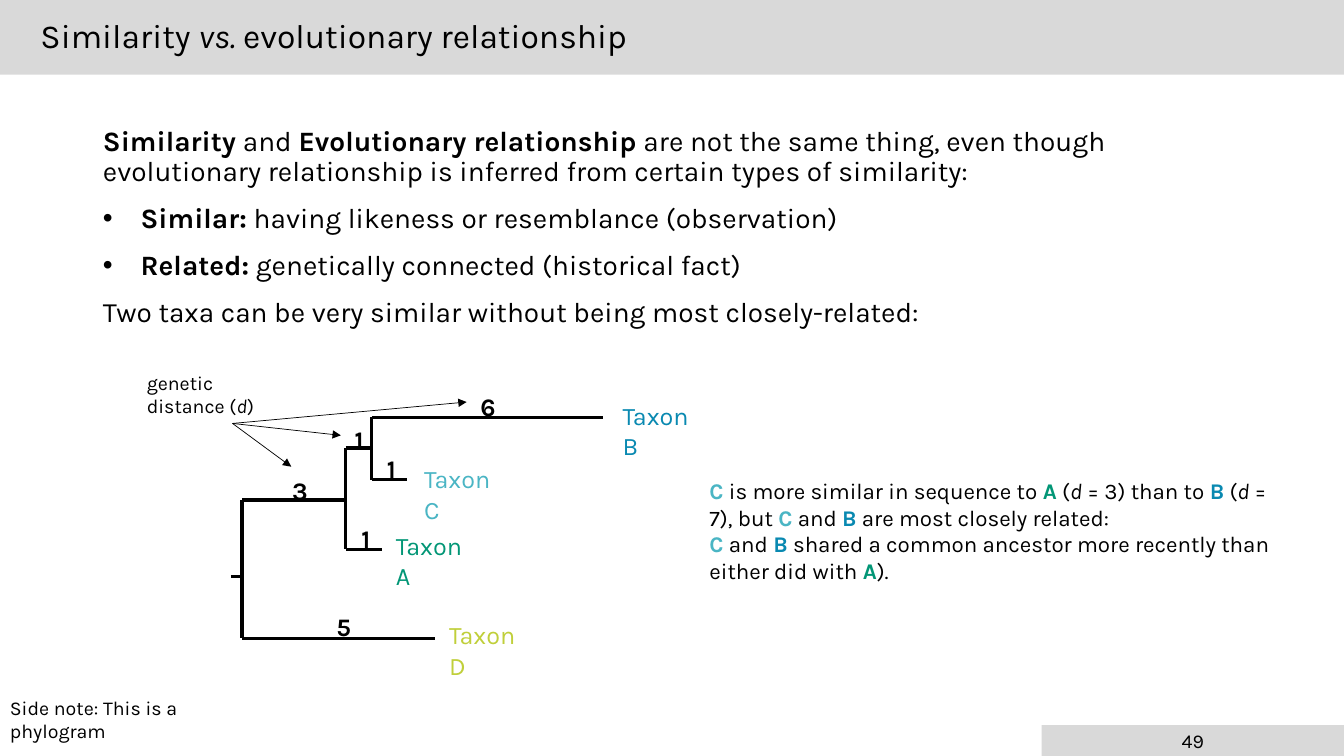
from lxml import etree
from pptx import Presentation
from pptx.dml.color import RGBColor
from pptx.enum.shapes import MSO_CONNECTOR, MSO_SHAPE
from pptx.enum.text import MSO_ANCHOR, MSO_AUTO_SIZE, PP_ALIGN
from pptx.oxml.ns import qn
from pptx.util import Cm, Pt

LINE = MSO_CONNECTOR.STRAIGHT
RECT = MSO_SHAPE.RECTANGLE
MIDDLE, TOP = MSO_ANCHOR.MIDDLE, MSO_ANCHOR.TOP
FIXED = MSO_AUTO_SIZE.NONE
LEFT, CENTER, JUSTIFY = PP_ALIGN.LEFT, PP_ALIGN.CENTER, PP_ALIGN.JUSTIFY

BLACK = RGBColor(0x00, 0x00, 0x00)
GREY = RGBColor(0xD9, 0xD9, 0xD9)
GREEN = RGBColor(0x02, 0x96, 0x76)
BLUE = RGBColor(0x09, 0x89, 0xB1)
TEAL = RGBColor(0x4A, 0xB5, 0xC4)
LIME = RGBColor(0xC0, 0xCF, 0x3A)

BOLD = {"bold": True}
ITALIC = {"italic": True}
A = ("A", {"bold": True, "color": GREEN})
B = ("B", {"bold": True, "color": BLUE})
C = ("C", {"bold": True, "color": TEAL})
D = ("d", ITALIC)

TITLE = [("Similarity ", {}), ("vs.", ITALIC), (" evolutionary relationship", {})]
POINTS = [
    (False, [("Similarity", BOLD), (" and ", {}), ("Evolutionary relationship", BOLD),
             (" are not the same thing, even though evolutionary relationship "
              "is inferred from certain types of similarity:", {})]),
    (True, [("Similar:", BOLD), (" having likeness or resemblance (observation)", {})]),
    (True, [("Related:", BOLD), (" genetically connected (historical fact)", {})]),
    (False, [("Two taxa can be very similar without being most closely-related:", {})]),
]
REMARK = [
    [C, (" is more similar in sequence to ", {}), A, (" (", {}), D, (" = 3) than to ", {}),
     B, (" (", {}), D, (" = 7), but ", {}), C, (" and ", {}), B,
     (" are most closely related:", {})],
    [C, (" and ", {}), B,
     (" shared a common ancestor more recently than either did with ", {}), A, (").", {})],
]

ROOT, STEM, FORK, TWIG = 5.82, 6.1, 8.71, 9.37
ROWS = {"B": 10.52, "inner": 11.29, "C": 12.09, "ABC": 12.6,
        "A": 13.84, "root": 14.53, "D": 16.08}
ACROSS = [
    (TWIG, 15.19, "B"), (TWIG, 10.26, "C"), (FORK, TWIG, "inner"), (FORK, 9.63, "A"),
    (STEM, FORK, "ABC"), (STEM, 10.97, "D"), (ROOT, STEM, "root"),
]
DOWN = [(TWIG, "B", "C"), (FORK, "inner", "A"), (STEM, "ABC", "D")]
TAXA = [("A", 9.73, 13.23, GREEN), ("B", 15.44, 9.96, BLUE),
        ("C", 10.44, 11.56, TEAL), ("D", 11.07, 15.49, LIME)]
STEPS = [("1", 9.5, 11.3), ("1", 8.69, 10.57), ("1", 8.86, 13.06),
         ("6", 11.86, 9.73), ("3", 7.11, 11.86), ("5", 8.23, 15.29)]
TIPS = [(7.34, 11.76), (8.59, 10.97), (11.76, 10.13)]


class Page:
    face = "Karla"

    def __init__(self, deck):
        self.slide = deck.slides.add_slide(deck.slide_layouts[1])

    def place(self, shape, box):
        for name, value in zip(("left", "top", "width", "height"), box):
            setattr(shape, name, Cm(value))

    def paint(self, shape, color):
        shape.fill.solid()
        shape.fill.fore_color.rgb = color

    def frame(self, frame, anchor=TOP):
        style = {"word_wrap": True, "auto_size": FIXED, "vertical_anchor": anchor}
        for name, value in style.items():
            setattr(frame, name, value)

    def words(self, para, runs, size, color=BLACK, **layout):
        for name, value in layout.items():
            setattr(para, name, value)
        for text, extra in runs:
            run = para.add_run()
            run.text = text
            style = {"name": self.face, "size": Pt(size), "bold": False,
                     "italic": False, **extra}
            run.font.color.rgb = style.pop("color", color)
            for name, value in style.items():
                setattr(run.font, name, value)

    def title(self, runs, box):
        shape = self.slide.shapes.title
        self.place(shape, box)
        self.paint(shape, GREY)
        self.frame(shape.text_frame, MIDDLE)
        shape.text_frame.margin_left = Cm(1.02)
        self.words(shape.text_frame.paragraphs[0], runs, 24,
                   alignment=LEFT, line_spacing=0.9)

    def body(self, items, box):
        shape = self.slide.placeholders[1]
        self.place(shape, box)
        frame = shape.text_frame
        self.frame(frame)
        for i, (dot, runs) in enumerate(items):
            para = frame.add_paragraph() if i else frame.paragraphs[0]
            props = para._p.get_or_add_pPr()
            hang = Cm(0.95) if dot else 0
            props.set("marL", str(hang))
            props.set("indent", str(-hang))
            mark = etree.SubElement(props, qn("a:buChar" if dot else "a:buNone"))
            if dot:
                mark.set("char", "•")
            self.words(para, runs, 20, line_spacing=0.9,
                       space_before=Pt(12 if i else 0))

    def text(self, paras, box, size, color=BLACK, align=LEFT):
        frame = self.slide.shapes.add_textbox(*map(Cm, box)).text_frame
        self.frame(frame)
        for i, runs in enumerate(paras):
            para = frame.add_paragraph() if i else frame.paragraphs[0]
            self.words(para, runs, size, color, alignment=align)

    def band(self, text, box):
        shape = self.slide.shapes.add_shape(RECT, *map(Cm, box))
        shape.shadow.inherit = False
        self.paint(shape, GREY)
        shape.line.fill.background()
        self.frame(shape.text_frame, MIDDLE)
        self.words(shape.text_frame.paragraphs[0], [(text, {})], 14, alignment=CENTER)

    def line(self, ends, width=2.25, arrow=False):
        link = self.slide.shapes.add_connector(LINE, *map(Cm, ends))
        link.line.color.rgb = BLACK
        link.line.width = Pt(width)
        props = link._element.spPr
        if arrow:
            etree.SubElement(props.find(qn("a:ln")), qn("a:tailEnd"), type="triangle")
        etree.SubElement(props, qn("a:effectLst"))


def main():
    deck = Presentation()
    deck.slide_width, deck.slide_height = Cm(33.87), Cm(19.05)
    page = Page(deck)
    page.title(TITLE, (0, 0, 33.87, 1.88))
    page.body(POINTS, (2.34, 3.07, 29.21, 12.09))
    page.band("49", (26.25, 18.27, 7.62, 0.78))

    for start, end, row in ACROSS:
        page.line((start, ROWS[row], end, ROWS[row]))
    for x, top, base in DOWN:
        page.line((x, ROWS[top], x, ROWS[base]))
    for name, x, y, color in TAXA:
        page.text([[(f"Taxon {name}", {})]], (x, y, 2.5, 1.02), 18, color, JUSTIFY)
    for count, x, y in STEPS:
        page.text([[(count, BOLD)]], (x, y, 0.8, 1.02), 18)

    page.text(REMARK, (17.63, 11.89, 14.63, 3.07), 16)
    for x, y in TIPS:
        page.line((5.86, 10.67, x, y), 0.5, True)
    page.text([[("genetic distance (", {}), D, (")", {})]], (3.45, 9.22, 3.33, 1.47), 14)
    page.text([[("Side note: This is a phylogram", {})]], (0, 17.4, 6.5, 1.4), 14)
    deck.save("out.pptx")


if __name__ == "__main__":
    main()
